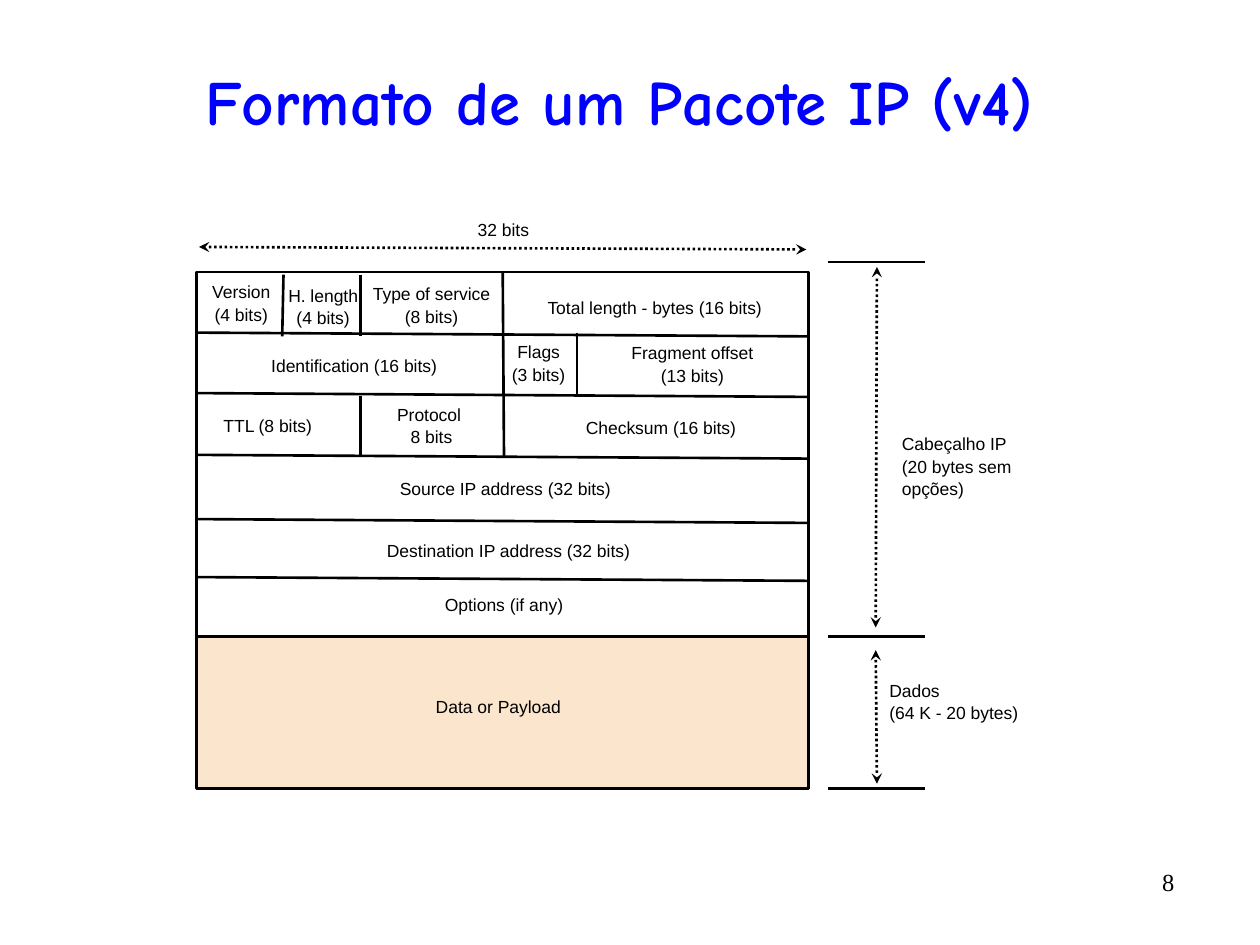
from lxml import etree
from pptx import Presentation
from pptx.dml.color import RGBColor
from pptx.enum.dml import MSO_LINE_DASH_STYLE as Dash
from pptx.enum.shapes import MSO_CONNECTOR as Connector, MSO_SHAPE as Shape
from pptx.enum.text import MSO_ANCHOR as Anchor, PP_ALIGN as Align
from pptx.oxml.ns import qn
from pptx.util import Inches, Pt

COLORS = {"ink": "000000", "title": "0000FF", "payload": "FCE5CD"}


def write(frame, text, *, size=10, font="Arial", color="ink", bold=False,
          align=Align.CENTER, anchor=Anchor.MIDDLE, spacing=1.0,
          margins=(0.1, 0.05, 0.1, 0.05)):
    """Write one paragraph per line of text."""
    frame.word_wrap = True
    frame.vertical_anchor = anchor
    (frame.margin_left, frame.margin_top,
     frame.margin_right, frame.margin_bottom) = map(Inches, margins)
    for index, line in enumerate(text.split("\n")):
        paragraph = frame.add_paragraph() if index else frame.paragraphs[0]
        paragraph.alignment = align
        paragraph.line_spacing = spacing
        run = paragraph.add_run()
        run.text = line
        run.font.size = Pt(size)
        run.font.name = font
        run.font.bold = bold
        run.font.color.rgb = RGBColor.from_string(COLORS[color])


class PacketSlide:
    line_width = Pt(1.5)

    def __init__(self, deck):
        self.slide = deck.slides.add_slide(deck.slide_layouts[5])
        self.shapes = self.slide.shapes

    def title(self, text, left, top, width, height):
        title = self.shapes.title
        title.left, title.top = Inches(left), Inches(top)
        title.width, title.height = Inches(width), Inches(height)
        write(title.text_frame, text, size=36, font="Comic Neue",
              color="title", bold=True)

    def text(self, text, left, top, width, height, **style):
        box = self.shapes.add_textbox(*map(Inches, (left, top, width, height)))
        write(box.text_frame, text, **style)

    def label(self, text, left, top, width, height):
        self.text(text, left, top, width, height, spacing=1.06,
                  margins=(0.02, 0.1, 0.02, 0.1))

    def note(self, text, left, top, width, height):
        self.text(text, left, top, width, height, spacing=1.06,
                  align=Align.LEFT, margins=(0.1, 0.1, 0, 0.1))

    def block(self, left, top, width, height, fill=None):
        block = self.shapes.add_shape(
            Shape.RECTANGLE, *map(Inches, (left, top, width, height)))
        block.shadow.inherit = False
        if fill:
            block.fill.solid()
            block.fill.fore_color.rgb = RGBColor.from_string(COLORS[fill])
        else:
            block.fill.background()
        self.stroke(block.line)

    def stroke(self, line):
        line.width = self.line_width
        line.color.rgb = RGBColor.from_string(COLORS["ink"])

    def rule(self, x1, y1, x2, y2):
        rule = self.shapes.add_connector(
            Connector.STRAIGHT, *map(Inches, (x1, y1, x2, y2)))
        self.stroke(rule.line)
        etree.SubElement(rule.element.spPr, qn("a:effectLst"))
        return rule

    def span(self, x1, y1, x2, y2):
        """Dotted line with an arrowhead at both ends."""
        span = self.rule(x1, y1, x2, y2)
        span.line.dash_style = Dash.ROUND_DOT
        outline = span.element.spPr.find(qn("a:ln"))
        for end in ("a:headEnd", "a:tailEnd"):
            etree.SubElement(outline, qn(end), type="stealth")


def main():
    deck = Presentation()
    deck.slide_width, deck.slide_height = Inches(10), Inches(7.5)
    packet = PacketSlide(deck)

    packet.title("Formato de um Pacote IP (v4)", 0.33, 0.42, 9.17, 0.75)
    packet.text("8", 8.42, 6.83, 1, 0.42, size=14, font="Times New Roman",
                align=Align.RIGHT, anchor=Anchor.TOP)

    # Header and payload blocks
    left, width = 1.56, 4.86
    right = left + width
    header_top, payload_top, bottom = 2.16, 5.05, 6.26
    packet.block(left, header_top, width, payload_top - header_top)
    packet.block(left, payload_top, width, bottom - payload_top, "payload")

    # Row dividers fall slightly to the right
    for y in (2.64, 3.12, 3.61, 4.12, 4.58):
        packet.rule(left, y, right, y + 0.03)

    # Field dividers
    packet.rule(3.99, header_top, 4, 3.62)
    for top_x, bottom_x, y in ((2.25, 2.24, 2.18), (2.86, 2.86, 2.18),
                               (4.58, 4.58, 2.64), (2.86, 2.86, 3.14)):
        packet.rule(top_x, y, bottom_x, y + 0.49)

    # Field names
    fields = (
        ("Version\n(4 bits)", 1.53, 2.18, 0.77, 0.44),
        ("H. length\n(4 bits)", 2.18, 2.18, 0.77, 0.49),
        ("Type of service\n(8 bits)", 2.86, 2.17, 1.13, 0.49),
        ("Total length - bytes (16 bits)", 3.99, 2.19, 2.41, 0.49),
        ("Identification (16 bits)", 1.85, 2.73, 1.92, 0.33),
        ("Flags\n(3 bits)", 3.96, 2.62, 0.63, 0.51),
        ("Fragment offset\n(13 bits)", 4.58, 2.63, 1.83, 0.51),
        ("TTL (8 bits)", 1.56, 3.19, 1.13, 0.37),
        ("Protocol \n8 bits", 2.86, 3.19, 1.13, 0.37),
        ("Checksum (16 bits)", 4.32, 3.22, 1.85, 0.33),
        ("Source IP address (32 bits)", 2.28, 3.71, 3.46, 0.33),
        ("Destination IP address (32 bits)", 2.12, 4.2, 3.83, 0.33),
        ("Options (if any)", 2.53, 4.54, 2.94, 0.51),
    )
    for field in fields:
        packet.label(*field)
    packet.note("Data or Payload", 3.36, 5.44, 1.22, 0.33)

    # Packet width
    packet.label("32 bits", 3.55, 1.65, 0.89, 0.33)
    packet.span(1.58, 1.96, 6.4, 1.98)

    # Header and payload sizes
    for y in (2.08, payload_top, bottom):
        packet.rule(6.57, y, 7.34, y)
    packet.span(6.95, 4.98, 6.96, 2.12)
    packet.span(6.95, 5.16, 6.96, 6.22)
    packet.note("Cabeçalho IP\n(20 bytes sem\nopções)", 7.06, 3.44, 1.13, 0.51)
    packet.note("Dados\n(64 K - 20 bytes)", 6.96, 5.31, 1.34, 0.51)

    deck.save("out.pptx")


if __name__ == "__main__":
    main()
